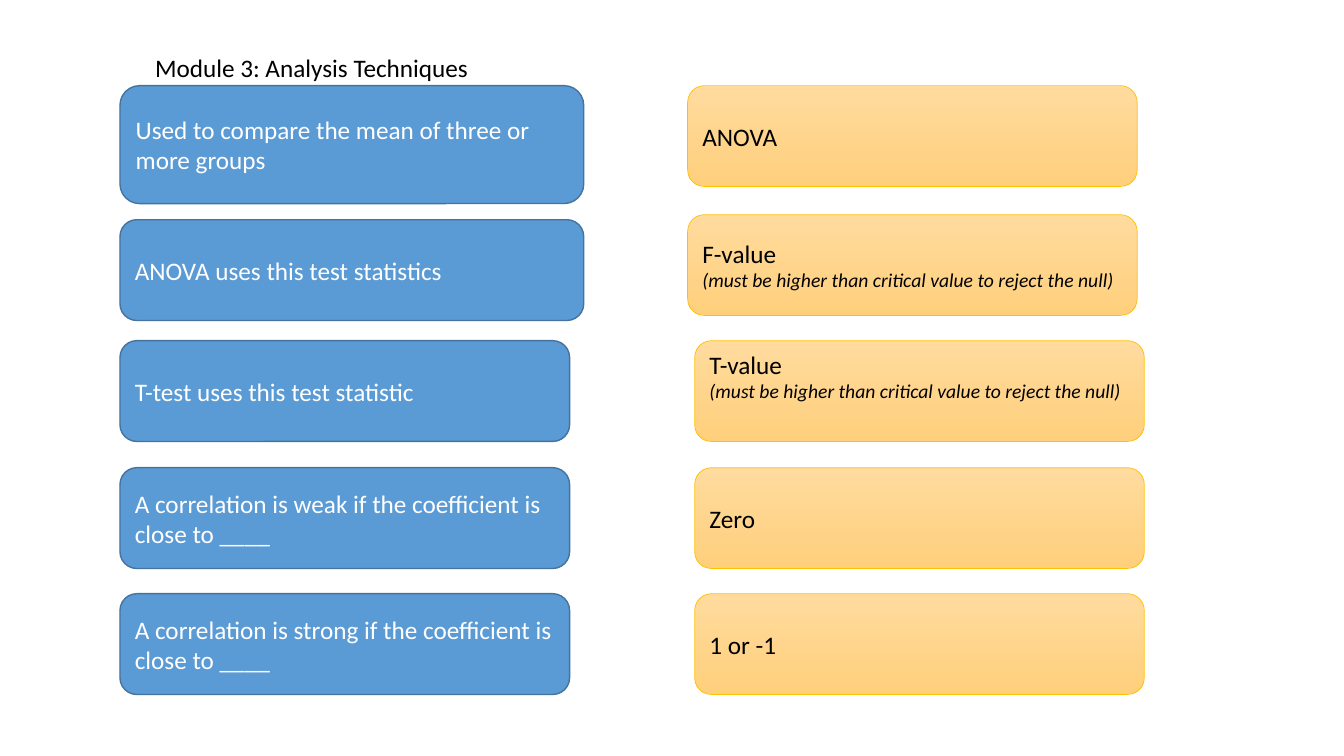
from pptx import Presentation
from pptx.dml.color import RGBColor
from pptx.enum.shapes import MSO_SHAPE
from pptx.enum.text import MSO_ANCHOR, MSO_AUTO_SIZE, PP_ALIGN
from pptx.util import Inches, Pt

BLACK = RGBColor(0x00, 0x00, 0x00)
WHITE = RGBColor(0xFF, 0xFF, 0xFF)
BLUE = RGBColor(0x5B, 0x9B, 0xD5)
BLUE_EDGE = RGBColor(0x43, 0x73, 0x9E)
GOLD_TOP = RGBColor(0xFF, 0xDB, 0x9E)
GOLD_BOTTOM = RGBColor(0xFF, 0xD0, 0x7C)
GOLD_EDGE = RGBColor(0xFF, 0xC0, 0x00)

QUESTION_LEFT = 1.19
CARD_WIDTH, WIDE_CARD = 4.46, 4.6
CARD_HEIGHT, TALL_CARD = 1, 1.17
UPPER_ANSWER, LOWER_ANSWER = 6.82, 6.89
FIRST_ROW, LAST_ROW = 0.85, 5.89
ROW_PITCH = (LAST_ROW - FIRST_ROW) / 4
HINT = "(must be higher than critical value to reject the null)"


def style_text(frame, color):
    for index, paragraph in enumerate(frame.paragraphs):
        paragraph.alignment = PP_ALIGN.LEFT
        for run in paragraph.runs:
            run.font.name = "Calibri"
            run.font.size = Pt(14 if index else 18)
            run.font.italic = index > 0
            run.font.color.rgb = color


def add_card(left, top, width, height, text, color, edge, edge_width):
    card = slide.shapes.add_shape(
        MSO_SHAPE.ROUNDED_RECTANGLE,
        Inches(left), Inches(top), Inches(width), Inches(height))
    card.shadow.inherit = False
    card.line.color.rgb = edge
    card.line.width = Pt(edge_width)
    card.text_frame.text = text
    card.text_frame.word_wrap = True
    card.text_frame.vertical_anchor = MSO_ANCHOR.MIDDLE
    style_text(card.text_frame, color)
    return card


deck = Presentation()
deck.slide_width, deck.slide_height = Inches(13.33), Inches(7.5)
slide = deck.slides.add_slide(deck.slide_layouts[6])

heading = slide.shapes.add_textbox(Inches(1.44), Inches(0.47), Inches(3.34), Inches(0.4))
heading.text_frame.text = "Module 3: Analysis Techniques"
heading.text_frame.word_wrap = False
heading.text_frame.auto_size = MSO_AUTO_SIZE.SHAPE_TO_FIT_TEXT
style_text(heading.text_frame, BLACK)

pairs = [
    ("Used to compare the mean of three or more groups", "ANOVA",
     WIDE_CARD, TALL_CARD, UPPER_ANSWER, 0, 0),
    ("ANOVA uses this test statistics", "F-value\n" + HINT,
     WIDE_CARD, CARD_HEIGHT, UPPER_ANSWER, 0.07, 0),
    ("T-test uses this test statistic", "T-value\n" + HINT,
     CARD_WIDTH, CARD_HEIGHT, LOWER_ANSWER, 0.01, 0.3),
    ("A correlation is weak if the coefficient is close to ____", "Zero",
     CARD_WIDTH, CARD_HEIGHT, LOWER_ANSWER, 0.01, 0),
    ("A correlation is strong if the coefficient is close to ____", "1 or -1",
     CARD_WIDTH, CARD_HEIGHT, LOWER_ANSWER, 0, 0),
]

for row, (question, answer, width, height, answer_left, drop, space_below) in enumerate(pairs):
    top = FIRST_ROW + row * ROW_PITCH
    question_card = add_card(QUESTION_LEFT, top + drop, width, height,
                             question, WHITE, BLUE_EDGE, 1)
    question_card.fill.solid()
    question_card.fill.fore_color.rgb = BLUE

    answer_card = add_card(answer_left, top + min(drop, 0.02), CARD_WIDTH, CARD_HEIGHT,
                           answer, BLACK, GOLD_EDGE, 0.5)
    answer_card.fill.gradient()
    answer_card.fill.gradient_angle = 270
    for stop, shade in zip(answer_card.fill.gradient_stops, (GOLD_TOP, GOLD_BOTTOM)):
        stop.color.rgb = shade
    answer_card.text_frame.margin_bottom = Inches(0.05 + space_below)

deck.save("out.pptx")
